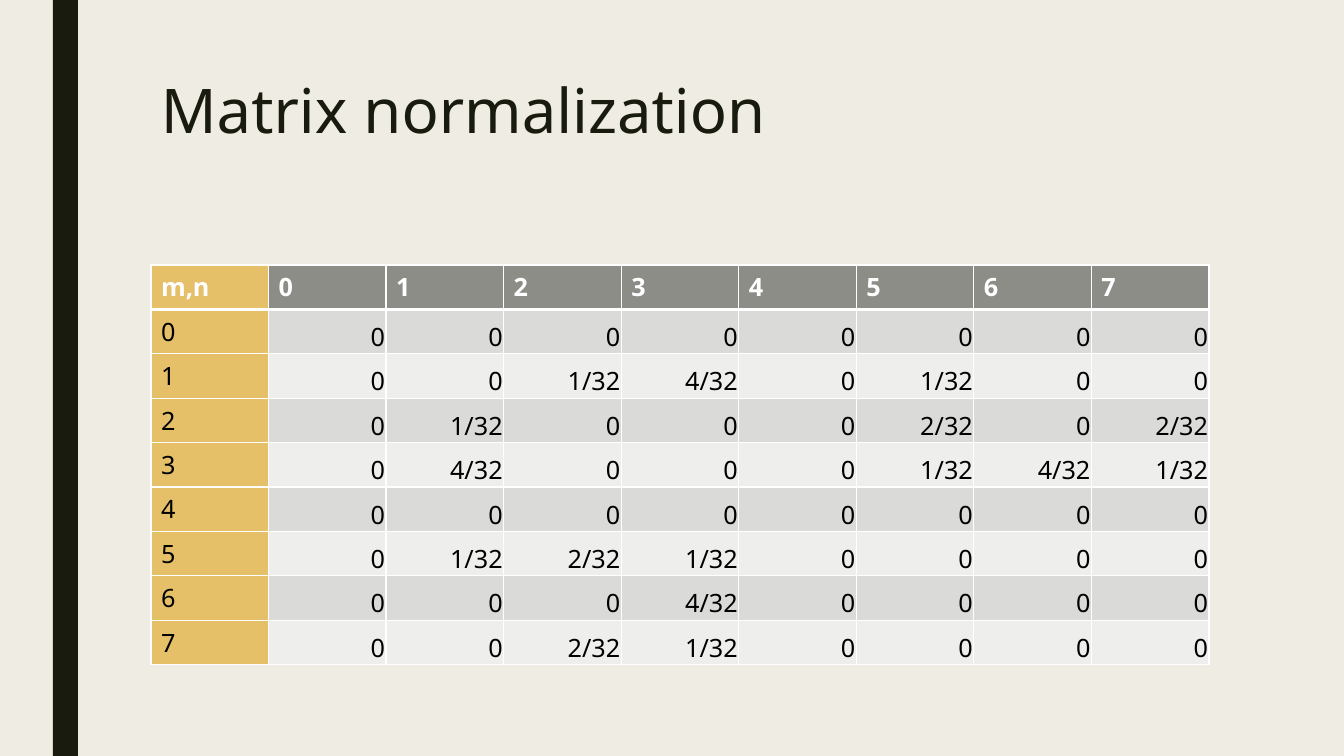
"""Build the matrix normalization slide."""
from lxml import etree
from pptx import Presentation
from pptx import util as u
from pptx.dml.color import RGBColor
from pptx.enum import shapes, text
from pptx.oxml import ns

TITLE = "Matrix normalization"
CORNER = "m,n"
MATRIX = [
    "0 0 0 0 0 0 0 0",
    "0 0 1/32 4/32 0 1/32 0 0",
    "0 1/32 0 0 0 2/32 0 2/32",
    "0 4/32 0 0 0 1/32 4/32 1/32",
    "0 0 0 0 0 0 0 0",
    "0 1/32 2/32 1/32 0 0 0 0",
    "0 0 0 4/32 0 0 0 0",
    "0 0 2/32 1/32 0 0 0 0",
]
COLORS = {
    "background": "EFEDE3", "dark": "191B0E", "label": "E6C069", "header": "8C8D86",
    "odd": "DADBD9", "even": "EEEEED", "white": "FFFFFF", "black": "000000",
}
FONT = "Noto Sans"
SLIDE_SIZE = (1344, 756)
BAR = (53, 0, 25, 756)
TITLE_BOX = (151, 76, 1058, 163)
TABLE_BOX = (151, 265, 1058, 400)
THIN, THICK = 1, 3


def px(*lengths):
    """Turn pixels into EMU."""
    return [u.Emu(round(length * 914400 / 100.8)) for length in lengths]


def assign(target, values):
    """Set every attribute named in a dict."""
    for name, value in values.items():
        setattr(target, name, value)


def paint(fill, color):
    """Fill with one named colour."""
    fill.solid()
    fill.fore_color.rgb = RGBColor.from_string(COLORS[color])


def write(paragraph, words, size, color, bold=False):
    """Add one formatted run."""
    run = paragraph.add_run()
    run.text = words
    assign(run.font, {"name": FONT, "size": u.Pt(size), "bold": bold})
    run.font.color.rgb = RGBColor.from_string(COLORS[color])


def add_borders(cell, widths):
    """Draw white cell borders, with widths in points by side."""
    properties = cell._tc.get_or_add_tcPr()
    for side, width in widths.items():
        line = etree.SubElement(properties, ns.qn(f"a:ln{side}"), w=str(u.Pt(width)))
        solid = etree.SubElement(line, ns.qn("a:solidFill"))
        etree.SubElement(solid, ns.qn("a:srgbClr"), val=COLORS["white"])


presentation = Presentation()
width, height = px(*SLIDE_SIZE)
assign(presentation, {"slide_width": width, "slide_height": height})
slide = presentation.slides.add_slide(presentation.slide_layouts[6])
paint(slide.background.fill, "background")

bar = slide.shapes.add_shape(shapes.MSO_SHAPE.RECTANGLE, *px(*BAR))
bar.shadow.inherit = False
paint(bar.fill, "dark")
bar.line.fill.background()

title_frame = slide.shapes.add_textbox(*px(*TITLE_BOX)).text_frame
assign(title_frame, {"word_wrap": True, "vertical_anchor": text.MSO_ANCHOR.TOP})
title_frame.paragraphs[0].line_spacing = 0.89
write(title_frame.paragraphs[0], TITLE, 44, "dark")

indices = [str(index) for index in range(len(MATRIX))]
rows = [[CORNER, *indices]]
rows += [[index, *values.split()] for index, values in zip(indices, MATRIX)]
table = slide.shapes.add_table(len(rows), len(rows[0]), *px(*TABLE_BOX)).table
assign(table, {"first_row": True, "first_col": True, "horz_banding": True})
inset, = px(1)
value_format = {
    "vertical_anchor": text.MSO_ANCHOR.BOTTOM,
    "margin_left": inset, "margin_top": inset, "margin_right": inset, "margin_bottom": 0,
}

for row, values in enumerate(rows):
    is_header = row == 0
    for column, value in enumerate(values):
        cell = table.cell(row, column)
        add_borders(cell, {"L": THIN, "R": THIN, "T": THICK if row == 1 else THIN,
                           "B": THICK if is_header else THIN})
        band = "header" if is_header else "odd" if row % 2 else "even"
        paint(cell.fill, band if column else "label")
        paragraph = cell.text_frame.paragraphs[0]
        write(paragraph, value, 18, "white" if is_header else "black", is_header)
        if column and not is_header:
            assign(cell, value_format)
            paragraph.alignment = text.PP_ALIGN.RIGHT

presentation.save("out.pptx")
